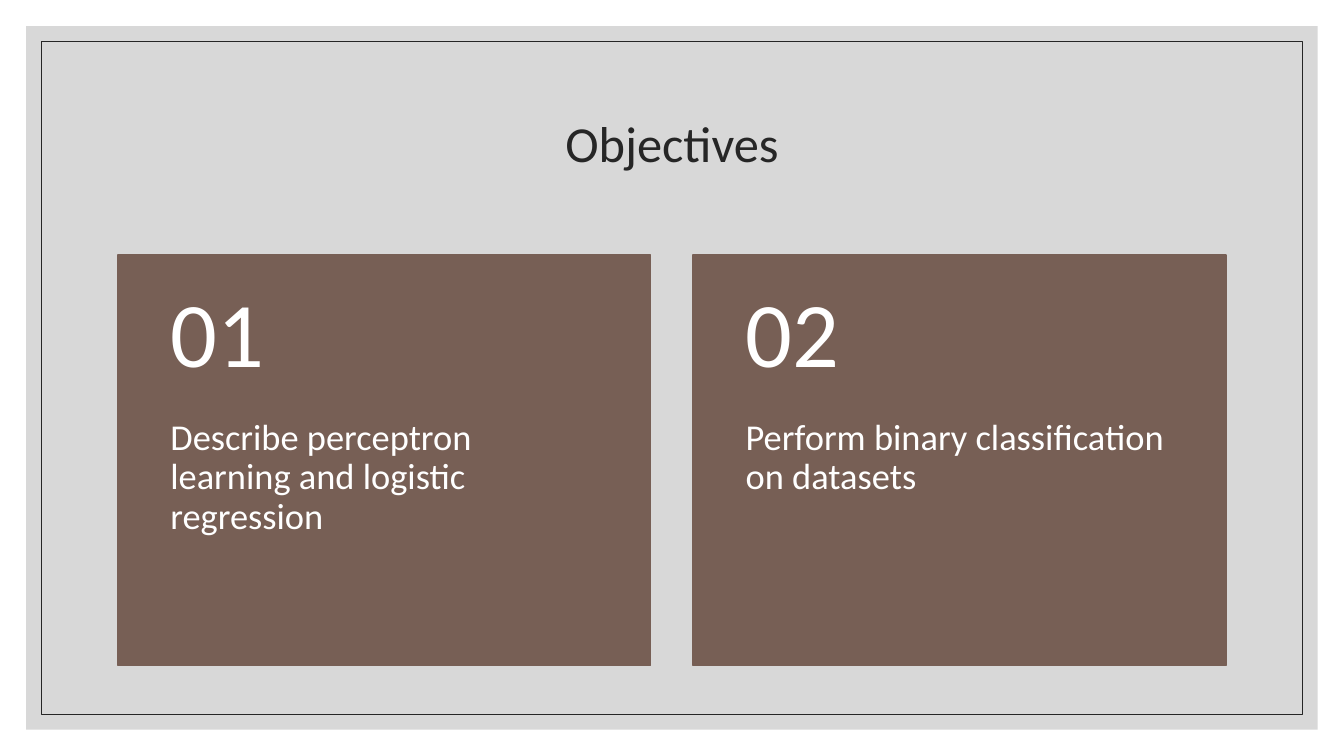
from dataclasses import dataclass

from lxml import etree
from pptx import Presentation
from pptx import util as u
from pptx.dml.color import RGBColor
from pptx.enum import shapes, text
from pptx.oxml.ns import qn


@dataclass(frozen=True)
class Theme:
    """Colours, font and type sizes of the deck."""
    paper: str = "FFFFFF"
    mat: str = "BFBFBF"
    mat_opacity: int = 60
    ink: str = "262626"
    card: str = "775F55"
    card_text: str = "FFFFFF"
    font: str = "Calibri"
    title_size: int = 36
    number_size: int = 66
    body_size: int = 26
    line_spacing: float = 0.9


@dataclass(frozen=True)
class Box:
    """A rectangle in inches."""
    left: float
    top: float
    width: float
    height: float

    def inset(self, gap):
        """Return the box shrunk by the gap on every side."""
        return Box(self.left + gap, self.top + gap,
                   self.width - 2 * gap, self.height - 2 * gap)

    def column(self, index, count, gap):
        """Return one of several equal columns."""
        width = (self.width - gap * (count - 1)) / count
        return Box(self.left + index * (width + gap), self.top, width, self.height)

    def split(self, share):
        """Return the upper share of the box and the rest."""
        upper = self.height * share
        return (Box(self.left, self.top, self.width, upper),
                Box(self.left, self.top + upper, self.width, self.height - upper))

    def lengths(self):
        """Return the four lengths for python-pptx."""
        return [u.Inches(n) for n in (self.left, self.top, self.width, self.height)]


THEME = Theme()
SLIDE = Box(0, 0, 13.33, 7.5)
MARGIN = 1.17
OBJECTIVES = [
    ("01", "Describe perceptron learning and logistic regression"),
    ("02", "Perform binary classification on datasets"),
]


def add_rectangle(page, box, fill=None, line=None, weight=1):
    """Add a rectangle with an optional fill and outline."""
    shape = page.shapes.add_shape(shapes.MSO_SHAPE.RECTANGLE, *box.lengths())
    shape.shadow.inherit = False
    if fill:
        shape.fill.solid()
        shape.fill.fore_color.rgb = RGBColor.from_string(fill)
    else:
        shape.fill.background()
    if line:
        shape.line.color.rgb = RGBColor.from_string(line)
        shape.line.width = u.Pt(weight)
    else:
        shape.line.fill.background()
    return shape


def add_text(page, box, words, size, color, insets,
             anchor=text.MSO_ANCHOR.MIDDLE, align=text.PP_ALIGN.LEFT):
    """Add a wrapped one-paragraph text box."""
    frame = page.shapes.add_textbox(*box.lengths()).text_frame
    frame.word_wrap = True
    frame.vertical_anchor = anchor
    side, top, bottom = insets
    frame.margin_left = frame.margin_right = u.Inches(side)
    frame.margin_top, frame.margin_bottom = u.Inches(top), u.Inches(bottom)
    para = frame.paragraphs[0]
    para.text = words
    para.alignment = align
    para.line_spacing = THEME.line_spacing
    para.font.name = THEME.font
    para.font.size = u.Pt(size)
    para.font.color.rgb = RGBColor.from_string(color)


def add_frame(page, box):
    """Draw the translucent mat and the thin border inside it."""
    mat = add_rectangle(page, box, fill=THEME.mat)
    tint = mat.fill._xPr.find(qn("a:solidFill"))[0]
    etree.SubElement(tint, qn("a:alpha"), val=str(THEME.mat_opacity * 1000))
    add_rectangle(page, box.inset(0.15), line=THEME.ink, weight=0.5)


def add_card(page, box, number, words):
    """Draw one objective with its number above its wording."""
    add_rectangle(page, box, fill=THEME.card, line=THEME.card)
    upper, lower = box.split(0.4)
    add_text(page, lower, words, THEME.body_size, THEME.card_text,
             (0.52, 0, 0.36), anchor=text.MSO_ANCHOR.TOP)
    add_text(page, upper, number, THEME.number_size, THEME.card_text,
             (0.52, 0.18, 0.18))


def add_objectives_page(deck, box):
    """Build the slide with a title over a row of cards."""
    page = deck.slides.add_slide(deck.slide_layouts[6])
    page.background.fill.solid()
    page.background.fill.fore_color.rgb = RGBColor.from_string(THEME.paper)
    add_frame(page, box.inset(0.26))
    content_width = box.width - 2 * MARGIN
    title = Box(MARGIN, 0.7, content_width, box.height * 0.2)
    add_text(page, title, "Objectives", THEME.title_size, THEME.ink,
             (0.1, 0.05, 0.05), align=text.PP_ALIGN.CENTER)
    cards = Box(MARGIN, 2.53, content_width, 4.07)
    for index, (number, words) in enumerate(OBJECTIVES):
        add_card(page, cards.column(index, len(OBJECTIVES), 0.42), number, words)


def main():
    """Create and save the deck."""
    deck = Presentation()
    deck.slide_width, deck.slide_height = SLIDE.lengths()[2:]
    add_objectives_page(deck, SLIDE)
    deck.save("out.pptx")


if __name__ == "__main__":
    main()
